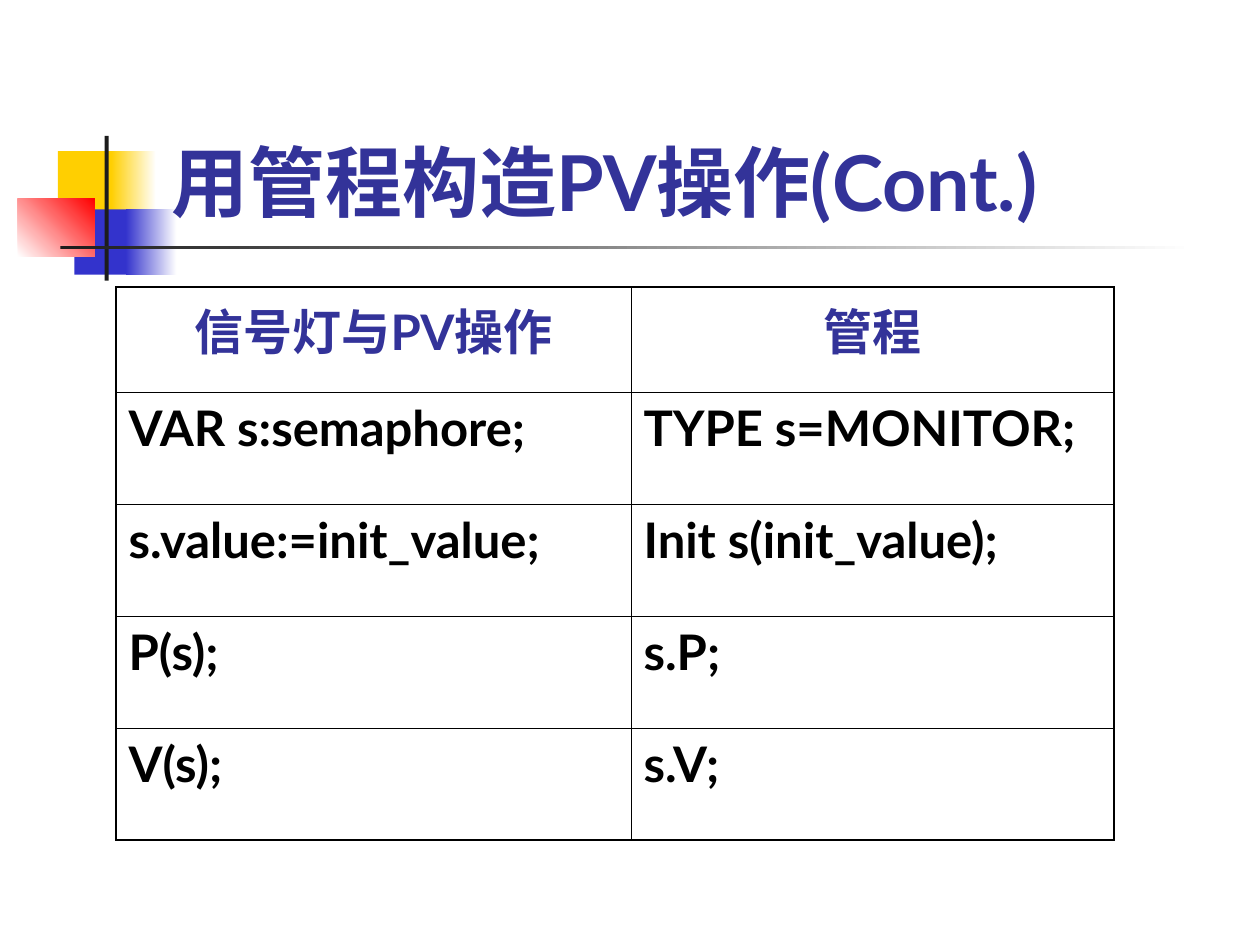
"""Build a slide comparing semaphore PV operations with a monitor."""
from lxml import etree
from pptx import Presentation
from pptx.dml.color import RGBColor
from pptx.enum.shapes import MSO_SHAPE
from pptx.enum.text import MSO_ANCHOR, PP_ALIGN
from pptx.oxml.ns import qn
from pptx.util import Cm, Pt

RECTANGLE = MSO_SHAPE.RECTANGLE
BOTTOM = MSO_ANCHOR.BOTTOM
LEFT, CENTER = PP_ALIGN.LEFT, PP_ALIGN.CENTER
YELLOW = RGBColor(0xFF, 0xCF, 0x01)
BLUE = RGBColor(0x33, 0x33, 0xCC)
RED = RGBColor(0xFF, 0x00, 0x00)
CHARCOAL = RGBColor(0x1C, 0x1C, 0x1C)
WHITE = RGBColor(0xFF, 0xFF, 0xFF)
BLACK = RGBColor(0x00, 0x00, 0x00)
INDIGO = RGBColor(0x33, 0x33, 0x99)
FONT = "Lato"
OUTER_LINE, INNER_LINE = Pt(1.08), Pt(0.45)


def write(frame, text, size, color, alignment=LEFT):
    frame.text = text
    paragraph = frame.paragraphs[0]
    paragraph.alignment = alignment
    font = paragraph.runs[0].font
    font.name, font.size, font.bold = FONT, Pt(size), True
    font.color.rgb = color


def add_border(cell, side, width):
    line = etree.SubElement(cell._tc.get_or_add_tcPr(), qn(f"a:ln{side}"), w=str(width))
    fill = etree.SubElement(line, qn("a:solidFill"))
    etree.SubElement(fill, qn("a:srgbClr"), val=str(BLACK))


prs = Presentation()
prs.slide_width, prs.slide_height = Cm(25.4), Cm(19.05)
slide = prs.slides.add_slide(prs.slide_layouts[6])

ornaments = [
    (1.17, 3.05, 1.22, 1.32, [YELLOW], 0),
    (2.24, 3.05, 0.91, 1.32, [YELLOW, WHITE], 0),
    (1.5, 4.22, 1.17, 1.32, [BLUE], 0),
    (2.54, 4.22, 1.02, 1.32, [BLUE, WHITE], 0),
    (0.36, 4.01, 1.55, 1.17, [WHITE, RED], 45),
    (2.11, 2.74, 0.08, 2.92, [CHARCOAL], 0),
    (1.22, 4.95, 22.86, 0.08, [CHARCOAL, WHITE], 0),
]
for left, top, width, height, colors, angle in ornaments:
    ornament = slide.shapes.add_shape(RECTANGLE, Cm(left), Cm(top), Cm(width), Cm(height))
    ornament.shadow.inherit = False
    ornament.line.fill.background()
    if len(colors) == 1:
        ornament.fill.solid()
        ornament.fill.fore_color.rgb = colors[0]
    else:
        ornament.fill.gradient()
        ornament.fill.gradient_angle = angle
        for stop, color in zip(ornament.fill.gradient_stops, colors):
            stop.color.rgb = color

title = slide.shapes.add_textbox(Cm(3.2), Cm(1.73), Cm(21.64), Cm(2.97)).text_frame
title.word_wrap = True
title.vertical_anchor = BOTTOM
write(title, "用管程构造PV操作(Cont.)", 44, INDIGO)

comparison = [
    ("信号灯与PV操作", "管程"),
    ("VAR s:semaphore;", "TYPE s=MONITOR;"),
    ("s.value:=init_value;", "Init s(init_value);"),
    ("P(s);", "s.P;"),
    ("V(s);", "s.V;"),
]
column_widths = [10.38, 9.74]
row_heights = [2.11] + [2.26] * 4
table = slide.shapes.add_table(
    len(row_heights), len(column_widths), Cm(2.34), Cm(5.79),
    Cm(sum(column_widths)), Cm(sum(row_heights)),
).table
for column, width in zip(table.columns, column_widths):
    column.width = Cm(width)
for row, height in zip(table.rows, row_heights):
    row.height = Cm(height)

for r, texts in enumerate(comparison):
    for c, text in enumerate(texts):
        cell = table.cell(r, c)
        if r == 0:
            write(cell.text_frame, text, 28, INDIGO, CENTER)
        else:
            write(cell.text_frame, text, 28, BLACK)
        outer_sides = {
            "L": c == 0,
            "R": c == len(column_widths) - 1,
            "T": r == 0,
            "B": r == len(row_heights) - 1,
        }
        for side, is_outer in outer_sides.items():
            add_border(cell, side, OUTER_LINE if is_outer else INNER_LINE)
        cell.fill.background()

prs.save("out.pptx")
